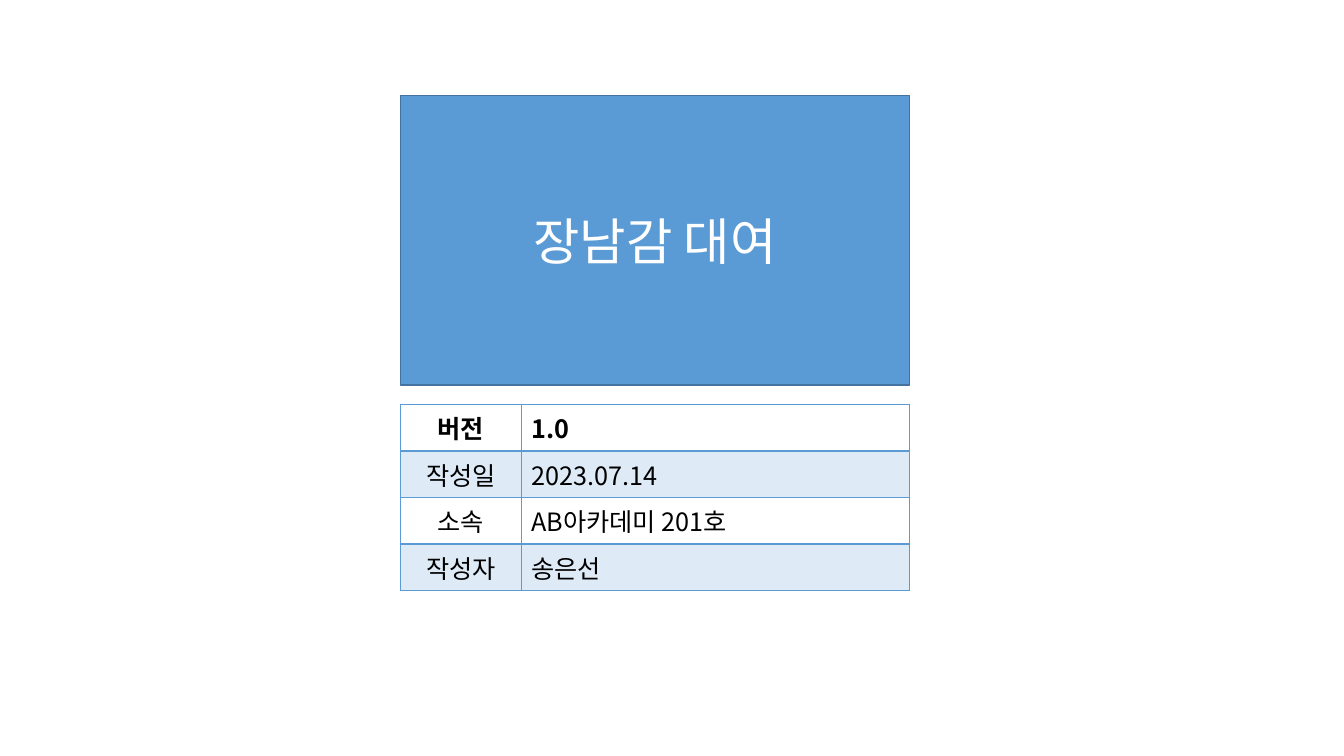
from pptx import Presentation
from pptx import util as u
from pptx.dml.color import RGBColor
from pptx.enum import text
from pptx.oxml import parse_xml
from pptx.oxml.ns import nsdecls, qn

FONT = "Noto Sans CJK KR"
HEX = {"blue": "5B9BD5", "edge": "43739E", "band": "DEEBF7",
       "white": "FFFFFF", "black": "000000"}
RGB = {name: RGBColor.from_string(code) for name, code in HEX.items()}


def style(par, size, color, bold=False):
    for run in par.runs:
        font = run.font
        font.size, font.bold, font.name = u.Pt(size), bold, FONT
        font.color.rgb = RGB[color]
        east = font._element.makeelement(qn("a:ea"), {"typeface": FONT})
        font._element.find(qn("a:latin")).addnext(east)


def edge(cell, side, width):
    """Draw one border of a cell; side is L, R, T or B."""
    cell._tc.get_or_add_tcPr().append(parse_xml(
        f'<a:ln{side} {nsdecls("a")} w="{u.Pt(width)}"><a:solidFill>'
        f'<a:srgbClr val="{HEX["blue"]}"/></a:solidFill></a:ln{side}>'))


deck = Presentation()
deck.slide_width, deck.slide_height = u.Inches(13.33), u.Inches(7.5)
slide = deck.slides.add_slide(deck.slide_layouts[5])
left, width = u.Inches(3.97), u.Inches(5.05)

# Title block
title = slide.shapes.title
title.left, title.top = left, u.Inches(0.95)
title.width, title.height = width, u.Inches(2.87)
title.fill.solid()
title.fill.fore_color.rgb = RGB["blue"]
title.line.color.rgb = RGB["edge"]
title.line.width = u.Pt(1)
frame = title.text_frame
frame.text = "장남감 대여"
frame.auto_size = text.MSO_AUTO_SIZE.NONE
frame.vertical_anchor = text.MSO_ANCHOR.MIDDLE
frame.paragraphs[0].alignment = text.PP_ALIGN.CENTER
style(frame.paragraphs[0], 36, "white")

# Document details
facts = [("버전", "1.0"), ("작성일", "2023.07.14"),
         ("소속", "AB아카데미 201호"), ("작성자", "송은선")]
table = slide.shapes.add_table(len(facts), 2, left, u.Inches(4.01),
                               width, u.Inches(1.62)).table
table.columns[0].width = u.Inches(1.2)
table.columns[1].width = width - u.Inches(1.2)

for row, fact in enumerate(facts):
    for col, words in enumerate(fact):
        cell = table.cell(row, col)
        cell.text = words
        par = cell.text_frame.paragraphs[0]
        par.alignment = text.PP_ALIGN.LEFT if col else text.PP_ALIGN.CENTER
        style(par, 18, "black", bold=row == 0)
        for side in "LRTB":
            heavy = (row, side) in [(0, "B"), (1, "T")]
            edge(cell, side, 2 if heavy else 1)
        if row % 2:
            cell.fill.solid()
            cell.fill.fore_color.rgb = RGB["band"]
        else:
            cell.fill.background()

deck.save("out.pptx")
